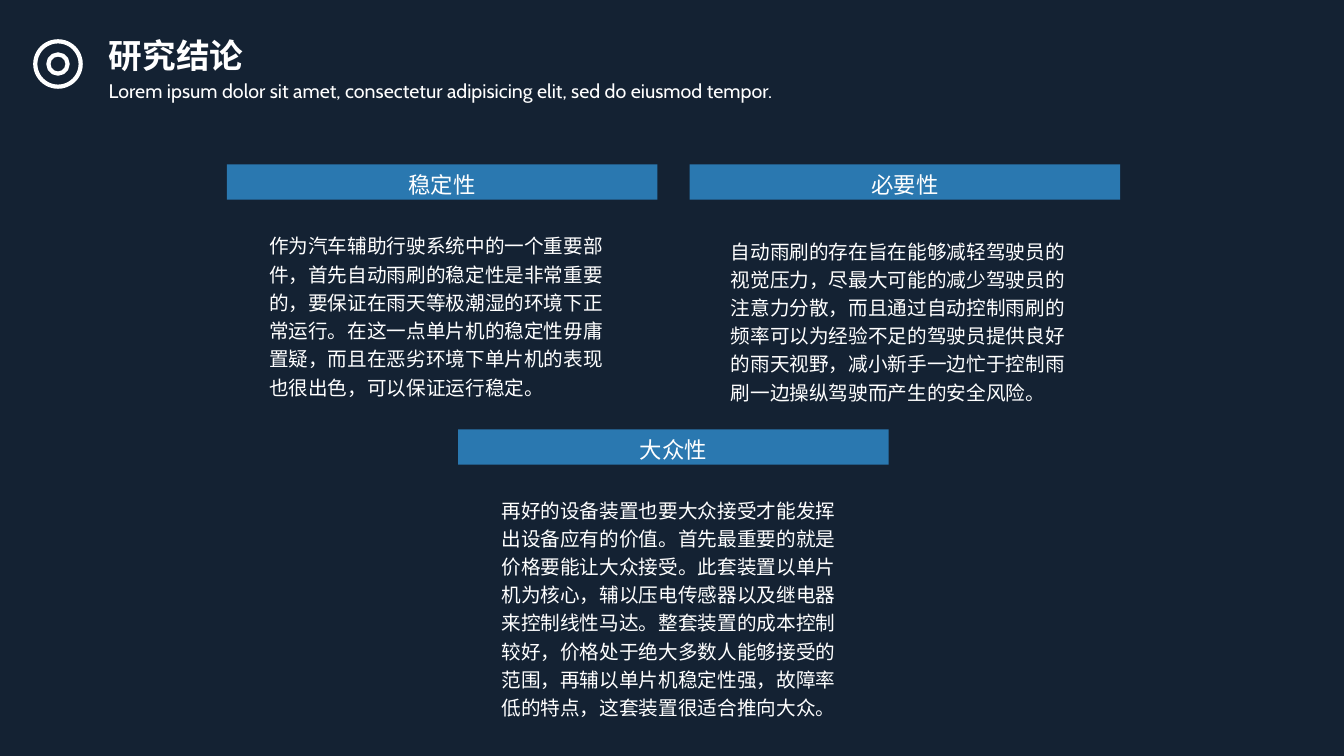
from pptx import Presentation, util as u
from pptx.dml.color import RGBColor
from pptx.enum import shapes, text

THEME = {
    "font": "Cabin",
    "navy": RGBColor.from_string("142233"),
    "blue": RGBColor.from_string("2A78B0"),
    "white": RGBColor.from_string("FFFFFF"),
    "title": u.Pt(24),
    "header": u.Pt(16),
    "body": u.Pt(14),
    "ring": u.Pt(3),
}
COL_X, COL_W, COL_GAP = 2.25, 4.27, 0.32
ROW_Y, ROW_STEP, BAR_H = 1.63, 2.63, 0.35
BODY_W, HEAD_X = 3.63, 0.98
RING_X, RING_Y = 0.575, 0.635

CONCLUSIONS = [
    ("稳定性", 0, 0, 0.32, 0.60, 1.77,
     "作为汽车辅助行驶系统中的一个重要部件，首先自动雨刷的稳定性是非常重要的，"
     "要保证在雨天等极潮湿的环境下正常运行。在这一点单片机的稳定性毋庸置疑，"
     "而且在恶劣环境下单片机的表现也很出色，可以保证运行稳定。"),
    ("必要性", 1, 0, 0.31, 0.65, 1.77,
     "自动雨刷的存在旨在能够减轻驾驶员的视觉压力，尽最大可能的减少驾驶员的注意力分散，"
     "而且通过自动控制雨刷的频率可以为经验不足的驾驶员提供良好的雨天视野，"
     "减小新手一边忙于控制雨刷一边操纵驾驶而产生的安全风险。"),
    ("大众性", 0.5, 1, 0.33, 0.59, 2.34,
     "再好的设备装置也要大众接受才能发挥出设备应有的价值。首先最重要的就是价格要能让大众接受。"
     "此套装置以单片机为核心，辅以压电传感器以及继电器来控制线性马达。"
     "整套装置的成本控制较好，价格处于绝大多数人能够接受的范围，"
     "再辅以单片机稳定性强，故障率低的特点，这套装置很适合推向大众。"),
]


def box(*lengths):
    return [u.Inches(n) for n in lengths]


def write(sp, words, size, frame=None, para=None, bold=False):
    tf = sp.text_frame
    p = tf.paragraphs[0]
    r = p.add_run()
    r.text = words
    r.font.color.rgb = THEME["white"]
    formats = [
        (tf, {"word_wrap": True, "auto_size": text.MSO_AUTO_SIZE.NONE,
              "vertical_anchor": text.MSO_ANCHOR.TOP, **(frame or {})}),
        (p, {"line_spacing": 1.2, "alignment": text.PP_ALIGN.LEFT, **(para or {})}),
        (r.font, {"name": THEME["font"], "size": THEME[size], "bold": bold}),
    ]
    for target, values in formats:
        for name, value in values.items():
            setattr(target, name, value)


prs = Presentation()
prs.slide_width, prs.slide_height = box(13.33, 7.5)
s = prs.slides.add_slide(prs.slide_layouts[5])
s.background.fill.solid()
s.background.fill.fore_color.rgb = THEME["navy"]

title = s.shapes.title
title.left, title.top, title.width, title.height = box(HEAD_X, 0.22, 2.9, 0.54)
write(title, "研究结论", "title", bold=True)

subtitle = s.shapes.add_textbox(*box(HEAD_X, 0.69, 7.85, 0.36))
write(subtitle, "Lorem ipsum dolor sit amet, consectetur adipisicing elit, sed do eiusmod tempor.",
      "body", para={"space_before": u.Pt(10)})

margins = {f"margin_{side}": u.Inches(0.11) for side in ("left", "top", "right", "bottom")}
for heading, col, row, dx, dy, height, body in CONCLUSIONS:
    x = COL_X + col * (COL_W + COL_GAP)
    y = ROW_Y + row * ROW_STEP
    bar = s.shapes.add_shape(shapes.MSO_SHAPE.RECTANGLE, *box(x, y, COL_W, BAR_H))
    bar.shadow.inherit = False
    bar.fill.solid()
    bar.fill.fore_color.rgb = THEME["blue"]
    bar.line.fill.background()
    write(bar, heading, "header",
          frame={"vertical_anchor": text.MSO_ANCHOR.MIDDLE, **margins},
          para={"alignment": text.PP_ALIGN.CENTER})
    write(s.shapes.add_textbox(*box(x + dx, y + dy, BODY_W, height)), body, "body")

icon = s.shapes.add_group_shape()
for size in (0.45, 0.19):
    ring = icon.shapes.add_shape(
        shapes.MSO_SHAPE.OVAL, *box(RING_X - size / 2, RING_Y - size / 2, size, size))
    ring.shadow.inherit = False
    ring.fill.background()
    ring.line.color.rgb = THEME["white"]
    ring.line.width = THEME["ring"]

prs.save("out.pptx")
